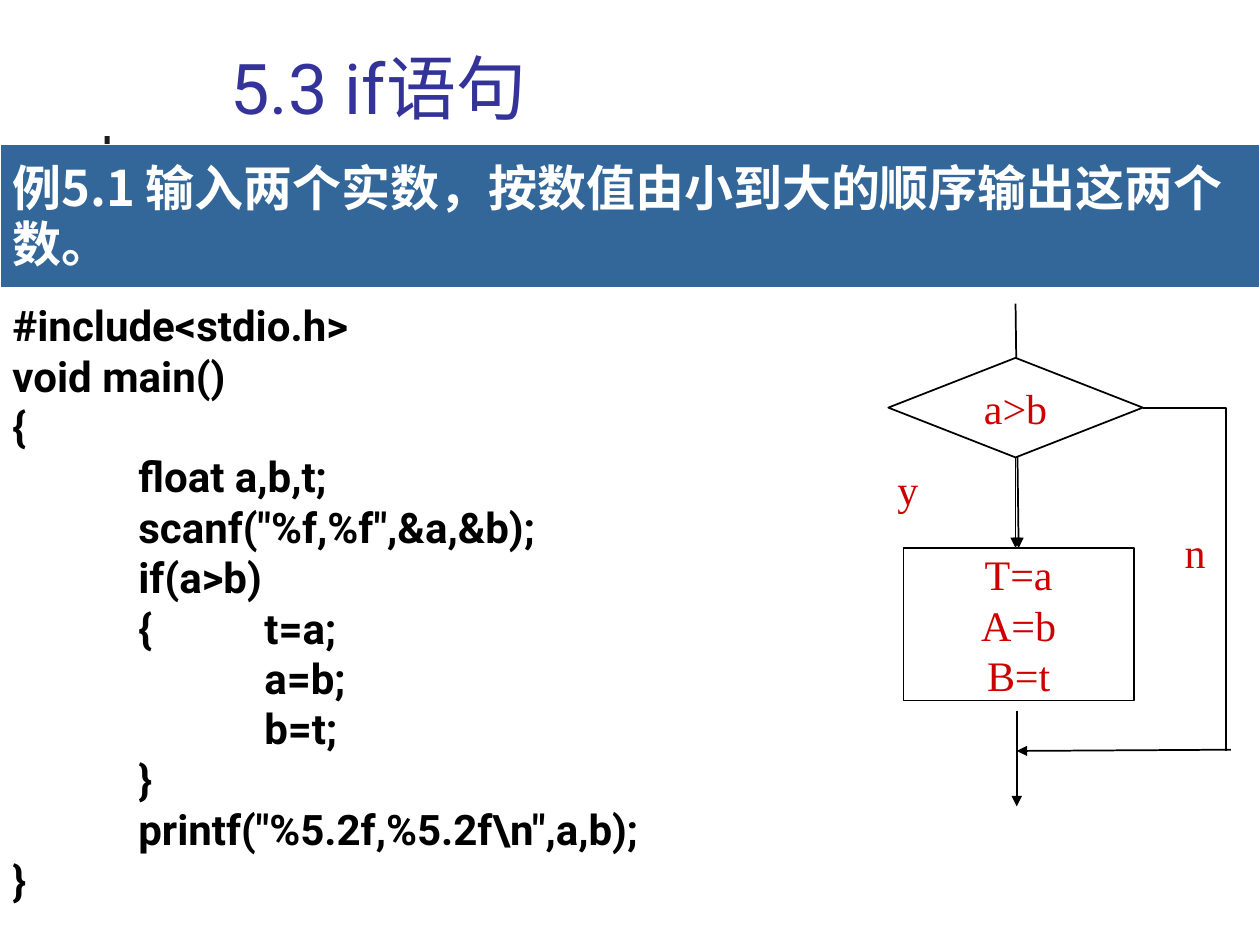
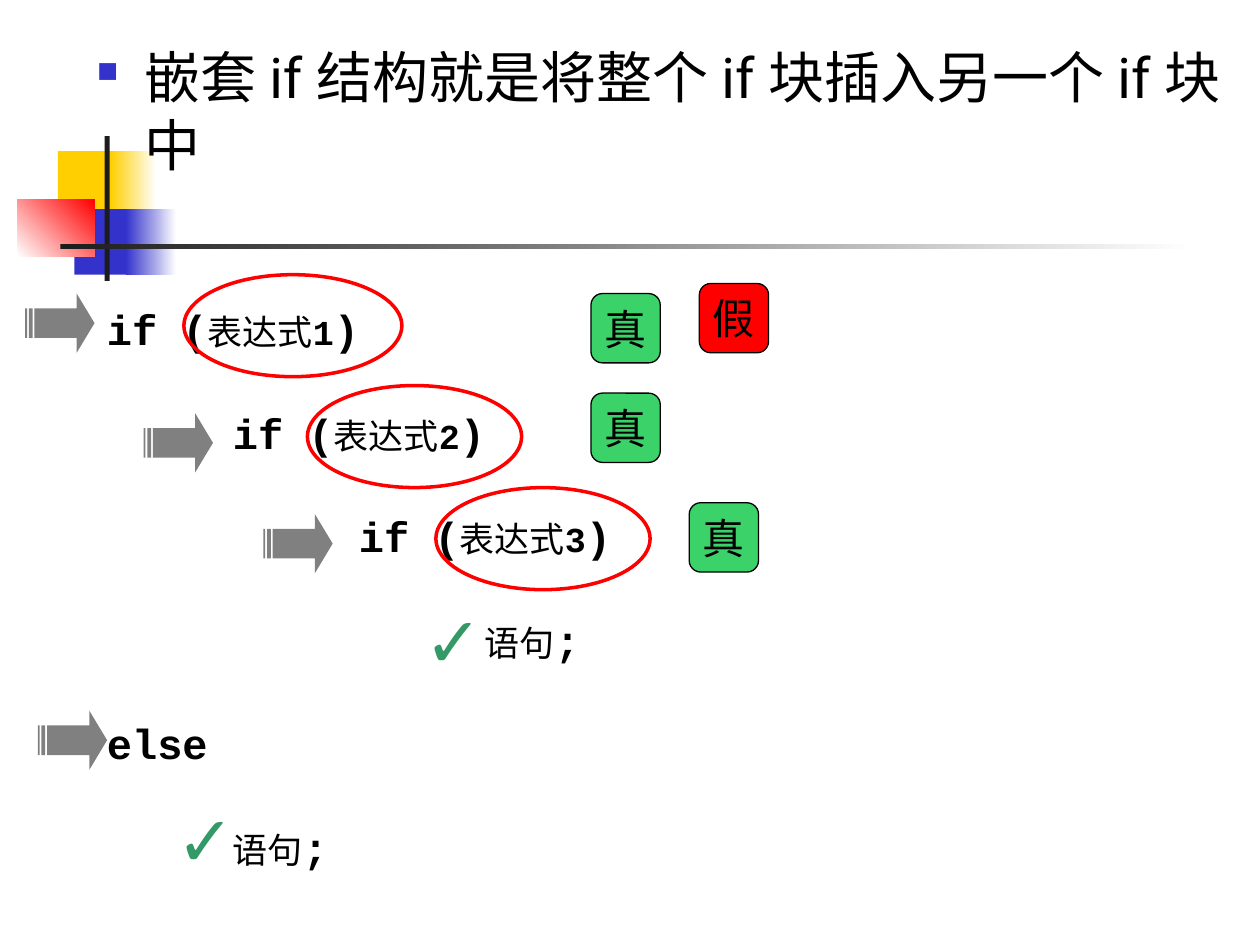
from pptx import Presentation
from pptx.dml.color import RGBColor
from pptx.enum.shapes import MSO_CONNECTOR as LINE, MSO_SHAPE as SHAPE
from pptx.enum.text import MSO_ANCHOR as ANCHOR, PP_ALIGN as ALIGN
from pptx.oxml.ns import qn
from pptx.util import Inches, Pt
from lxml import etree

BLACK = RGBColor(0x00, 0x00, 0x00)
WHITE = RGBColor(0xFF, 0xFF, 0xFF)
INK = RGBColor(0x1C, 0x1C, 0x1C)
TITLE_BLUE = RGBColor(0x33, 0x33, 0x99)
BAND_BLUE = RGBColor(0x33, 0x66, 0x99)
BLUE = RGBColor(0x33, 0x33, 0xCC)
YELLOW = RGBColor(0xFF, 0xCF, 0x01)
RED = RGBColor(0xFF, 0x00, 0x00)
DARK_RED = RGBColor(0xCC, 0x00, 0x00)
GREEN = RGBColor(0x3C, 0xD2, 0x6A)
CHECK_GREEN = RGBColor(0x33, 0x99, 0x66)
GREY = RGBColor(0x80, 0x80, 0x80)

TITLE = {"name": "Roboto", "size": Pt(40), "color": TITLE_BLUE}
BAND = {"name": "Noto Sans CJK SC", "size": Pt(28), "bold": True, "color": WHITE}
CODE = {"name": "Roboto", "size": Pt(24), "bold": True, "color": BLACK}
FLOW = {"name": "Times New Roman", "size": Pt(24), "color": DARK_RED}
POINT = {"name": "Roboto", "size": Pt(32), "color": BLACK}
MONO = {"name": "Courier New", "size": Pt(24), "bold": True, "color": BLACK}
MONO_SMALL = {**MONO, "size": Pt(20)}
MONO_WORD = {**MONO_SMALL, "bold": False}
BADGE = {"name": "Arial", "size": Pt(24), "color": BLACK}
CHECK = {"name": "Arial", "size": Pt(40), "bold": True, "color": CHECK_GREEN}

PROGRAM = """#include<stdio.h>
void main()
{
\tfloat a,b,t;
\tscanf(″%f,%f″,&a,&b);
\tif(a>b)
\t{\tt=a;
\t\ta=b;
\t\tb=t;
\t}
\tprintf(″%5.2f,%5.2f\\n″,a,b);
}"""

NESTED_IF = [
    [("if (", MONO), ("表达式", MONO_WORD), ("1", MONO_SMALL), (")", MONO)],
    [("\tif (", MONO), ("表达式", MONO_WORD), ("2", MONO_SMALL), (")", MONO)],
    [("\t\tif (", MONO), ("表达式", MONO_WORD), ("3", MONO_SMALL), (")", MONO)],
    [("\t\t\t", MONO), ("语句", MONO_WORD), (";", MONO)],
    [("else", MONO)],
    [("\t", MONO), ("语句", MONO_WORD), (";", MONO)],
]


def inches(box):
    return [Inches(value) for value in box]


def style_font(font, style):
    for key, value in style.items():
        if key == "color":
            font.color.rgb = value
        else:
            setattr(font, key, value)


def add_tabs(para, count):
    stops = etree.SubElement(para._p.get_or_add_pPr(), qn("a:tabLst"))
    for number in range(1, count + 1):
        etree.SubElement(stops, qn("a:tab"), pos=str(Inches(number)), algn="l")


def write(shape, lines, align=ALIGN.LEFT, anchor=ANCHOR.TOP, wrap=True, tabs=0, **spacing):
    frame = shape.text_frame
    frame.word_wrap = wrap
    frame.vertical_anchor = anchor
    for index, spans in enumerate(lines):
        para = frame.add_paragraph() if index else frame.paragraphs[0]
        if tabs:
            add_tabs(para, tabs)
        para.alignment = align
        for key, value in spacing.items():
            if index or key != "space_before":
                setattr(para, key, value)
        for text, style in spans:
            span = para.add_run()
            span.text = text
            style_font(span.font, style)


def add_text(page, box, lines, **layout):
    write(page.shapes.add_textbox(*inches(box)), lines, **layout)


def add_block(page, kind, box, fill=None, line=None, width=1):
    shape = page.shapes.add_shape(kind, *inches(box))
    shape.shadow.inherit = False
    if fill is None:
        shape.fill.background()
    else:
        shape.fill.solid()
        shape.fill.fore_color.rgb = fill
    if line is None:
        shape.line.fill.background()
    else:
        shape.line.color.rgb = line
        shape.line.width = Pt(width)
    return shape


def add_fade(page, box, start, end, angle=0):
    shape = add_block(page, SHAPE.RECTANGLE, box, start)
    shape.fill.gradient()
    shape.fill.gradient_angle = angle
    for stop, color in zip(shape.fill.gradient_stops, (start, end)):
        stop.color.rgb = color


def add_line(page, start, end, kind=LINE.STRAIGHT, arrow=True):
    line = page.shapes.add_connector(kind, *inches(start + end))
    line.line.color.rgb = BLACK
    line.line.width = Pt(1)
    if arrow:
        etree.SubElement(line.line._get_or_add_ln(), qn("a:tailEnd"), type="triangle")
    etree.SubElement(line._element.spPr, qn("a:effectLst"))
    return line


def add_upright(page):
    add_block(page, SHAPE.RECTANGLE, (0.83, 1.08, 0.04, 1.15), INK)


def add_ornament(page):
    add_block(page, SHAPE.RECTANGLE, (0.46, 1.2, 0.48, 0.52), YELLOW)
    add_fade(page, (0.88, 1.2, 0.36, 0.52), YELLOW, WHITE)
    add_block(page, SHAPE.RECTANGLE, (0.59, 1.66, 0.46, 0.52), BLUE)
    add_fade(page, (1, 1.66, 0.4, 0.52), BLUE, WHITE)
    add_fade(page, (0.14, 1.58, 0.61, 0.46), WHITE, RED, 45)
    add_upright(page)
    add_fade(page, (0.48, 1.94, 9, 0.04), INK, WHITE)


def set_title(page, box, text):
    title = page.shapes.title
    title.left, title.top, title.width, title.height = inches(box)
    title.text_frame.margin_left = Inches(0.37)
    write(title, [[(text, TITLE)]], anchor=ANCHOR.BOTTOM)


def add_band(page, box, text):
    band = add_block(page, SHAPE.RECTANGLE, box, BAND_BLUE, WHITE, 0.75)
    write(band, [[(text, BAND)]], anchor=ANCHOR.MIDDLE, line_spacing=Pt(32.2))


def add_flowchart(page, left, top):
    def at(x, y, *size):
        return (left + x, top + y, *size)

    def label(shape, *texts):
        write(shape, [[(text, FLOW)] for text in texts],
              align=ALIGN.CENTER, anchor=ANCHOR.MIDDLE, wrap=False)

    entry = add_line(page, at(1.33, 0), at(1.36, 1.94))
    for text, box in (("y", at(0, 1.22, 0.95, 0.5)), ("n", at(2.44, 1.18, 0.63, 1.58))):
        label(page.shapes.add_textbox(*inches(box)), text)
    decision = add_block(page, SHAPE.FLOWCHART_DECISION,
                         at(0.32, 0.43, 2.02, 0.79), WHITE, BLACK)
    label(decision, "a>b")
    swap = add_block(page, SHAPE.FLOWCHART_PROCESS,
                     at(0.44, 1.94, 1.83, 1.21), WHITE, BLACK)
    label(swap, "T=a", "A=b", "B=t")
    entry.end_connect(swap, 0)
    yes = add_line(page, at(1.33, 1.22), at(1.33, 1.94))
    yes.begin_connect(decision, 2)
    add_line(page, at(1.34, 3.23), at(1.34, 3.99))
    add_line(page, at(3.04, 3.54), at(1.34, 3.55))
    no = add_line(page, at(2.34, 0.83), at(3, 3.55), LINE.ELBOW, arrow=False)
    no._element.spPr.find(qn("a:prstGeom")).set("prst", "bentConnector2")


def add_point(page, box, text):
    shape = page.shapes.add_textbox(*inches(box))
    props = shape.text_frame.paragraphs[0]._p.get_or_add_pPr()
    props.set("marL", str(Inches(0.38)))
    props.set("indent", str(-Inches(0.38)))
    color = etree.SubElement(props, qn("a:buClr"))
    etree.SubElement(color, qn("a:srgbClr"), val=str(BLUE))
    etree.SubElement(props, qn("a:buSzPct"), val="52000")
    etree.SubElement(props, qn("a:buChar"), char="■")
    write(shape, [[(text, POINT)]], line_spacing=Pt(38.9))


def add_nested_if(page, left, top):
    def at(x, y, *size):
        return (left + x, top + y, *size)

    add_text(page, at(0, 0.01, 8.74, 4.59), NESTED_IF, tabs=3,
             line_spacing=Pt(28), space_before=Pt(31.2))
    for x, y, text, fill in ((3.94, -0.03, "真", GREEN), (3.94, 0.76, "真", GREEN),
                             (4.72, 1.63, "真", GREEN), (4.8, -0.11, "假", RED)):
        badge = add_block(page, SHAPE.ROUNDED_RECTANGLE, at(x, y, 0.55, 0.55),
                          fill, BLACK, 0.75)
        write(badge, [[(text, BADGE)]], align=ALIGN.CENTER,
              anchor=ANCHOR.MIDDLE, wrap=False)
    for x, y, width in ((0.71, -0.18, 1.73), (1.69, 0.7, 1.7), (2.71, 1.51, 1.7)):
        add_block(page, SHAPE.OVAL, at(x, y, width, 0.81), line=RED, width=2)
    for x, y in ((-0.55, -0.03), (0.39, 0.92), (1.34, 1.72), (-0.45, 3.28)):
        arrow = add_block(page, SHAPE.STRIPED_RIGHT_ARROW, at(x, y, 0.55, 0.47), GREY)
        arrow.adjustments[1] = 0.3
    for x, y in ((2.52, 2.33), (0.55, 3.91)):
        add_text(page, at(x, y, 0.63, 0.77), [[("✓", CHECK)]])


def build_example(deck):
    page = deck.slides.add_slide(deck.slide_layouts[5])
    add_upright(page)
    set_title(page, (1.46, 0.28, 6.67, 0.79), "5.3 if语句")
    add_band(page, (0, 1.15, 10, 1.13), "例5.1 输入两个实数，按数值由小到大的顺序输出这两个数。")
    add_flowchart(page, 6.73, 2.41)
    add_text(page, (0, 2.33, 6.57, 5.3),
             [[(line, CODE)] for line in PROGRAM.split("\n")], tabs=2)


def build_nesting(deck):
    page = deck.slides.add_slide(deck.slide_layouts[6])
    add_ornament(page)
    add_point(page, (0.67, 0.28, 9.33, 1.26), "嵌套 if 结构就是将整个 if 块插入另一个 if 块中")
    add_nested_if(page, 0.75, 2.36)


def main():
    deck = Presentation()
    deck.slide_width, deck.slide_height = inches((10, 7.5))
    build_example(deck)
    build_nesting(deck)
    deck.save("out.pptx")


if __name__ == "__main__":
    main()
